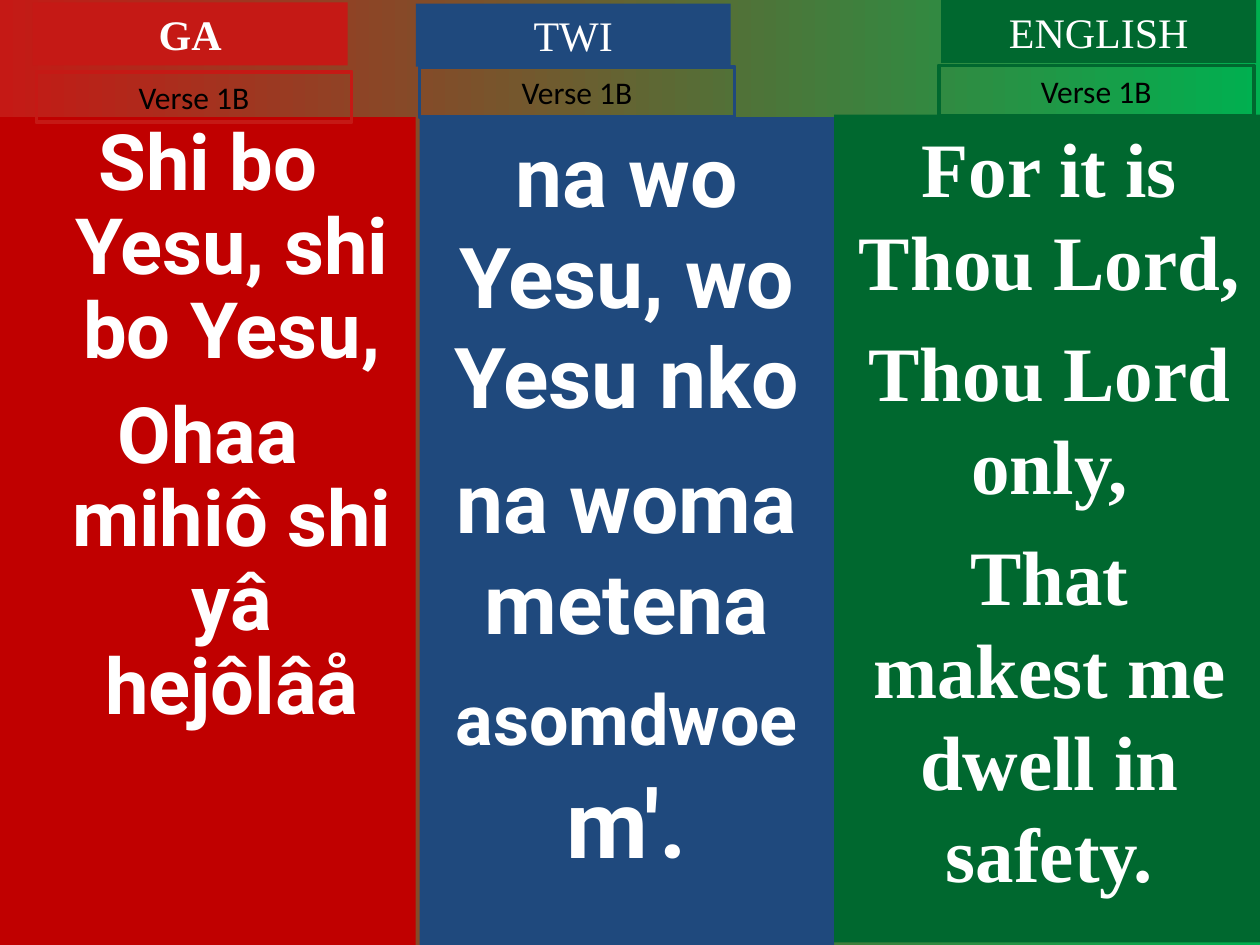
from pptx import Presentation
from pptx.dml.color import RGBColor
from pptx.enum.shapes import MSO_SHAPE
from pptx.enum.text import MSO_ANCHOR, MSO_AUTO_SIZE, PP_ALIGN
from pptx.util import Inches, Pt

RED, BRIGHT_RED, BLUE = "C00000", "C51915", "1F497D"
GREEN, BRIGHT_GREEN = "00682F", "00B050"
WHITE, BLACK = "FFFFFF", "000000"
SERIF, SANS, LABEL = "Times New Roman", "Roboto", "Calibri"


def color(hex_text):
    return RGBColor.from_string(hex_text)


def set_background(page):
    fill = page.background.fill
    fill.gradient()
    fill.gradient_angle = 0
    for stop, shade, position in zip(fill.gradient_stops, (BRIGHT_RED, BRIGHT_GREEN), (0, 1)):
        stop.color.rgb = color(shade)
        stop.position = position


def add_box(page, place, fill=None, line=None):
    box = page.shapes.add_shape(MSO_SHAPE.RECTANGLE, *[Inches(value) for value in place])
    box.shadow.inherit = False
    if fill:
        box.fill.solid()
        box.fill.fore_color.rgb = color(fill)
    else:
        box.fill.background()
    if line:
        box.line.color.rgb = color(line)
        box.line.width = Pt(2.25)
    else:
        box.line.fill.background()
    box.text_frame.word_wrap = True
    box.text_frame.vertical_anchor = MSO_ANCHOR.TOP
    return box


def add_span(para, text, font, size, shade, bold=False):
    span = para.add_run()
    span.text = text
    span.font.name = font
    span.font.size = Pt(size)
    span.font.bold = bold
    span.font.color.rgb = color(shade)


def add_heading(page, place, text, font, size, shade, bold=False, **look):
    """Add a one-line box that grows with its text."""
    box = add_box(page, place, **look)
    box.text_frame.auto_size = MSO_AUTO_SIZE.SHAPE_TO_FIT_TEXT
    para = box.text_frame.paragraphs[0]
    para.alignment = PP_ALIGN.CENTER
    add_span(para, text, font, size, shade, bold)


def add_verse(page, place, fill, font, paragraphs, gap, spacing=None, hanging=0):
    """Add a column of lyrics; each paragraph is a list of (text, size)."""
    frame = add_box(page, place, fill=fill).text_frame
    for index, spans in enumerate(paragraphs):
        para = frame.add_paragraph() if index else frame.paragraphs[0]
        para.alignment = PP_ALIGN.CENTER
        if index:
            para.space_before = Pt(gap)
        if spacing:
            para.line_spacing = spacing
        if hanging:
            properties = para._p.get_or_add_pPr()
            properties.set("marL", str(Inches(hanging)))
            properties.set("indent", str(-Inches(hanging)))
        for text, size in spans:
            add_span(para, text, font, size, WHITE, bold=True)


def main():
    deck = Presentation()
    deck.slide_width, deck.slide_height = Inches(10), Inches(7.5)
    page = deck.slides.add_slide(deck.slide_layouts[6])
    set_background(page)

    add_verse(page, (0, 0.93, 3.3, 6.57), RED, SANS,
              [[("Shi bo Yesu, shi bo Yesu,", 44.4)],
               [("Ohaa mihiô shi yâ hejôlâå", 44.4)]],
              gap=12, spacing=0.9, hanging=0.38)
    add_verse(page, (3.33, 0.93, 3.29, 6.57), BLUE, SANS,
              [[("na wo Yesu, wo Yesu nko", 48)],
               [("na woma metena ", 48), ("asomdwoe", 40), (" m'.", 54)]],
              gap=13.5)
    add_verse(page, (6.62, 0.91, 3.42, 6.57), GREEN, SERIF,
              [[("For it is Thou Lord,", 44)],
               [("Thou Lord only,", 44)],
               [("That makest me dwell in safety.", 44)]],
              gap=11)

    languages = [
        ("GA", BRIGHT_RED, True, (0.26, 0.02), (0.29, 0.57)),
        ("TWI", BLUE, False, (3.3, 0.03), (3.33, 0.53)),
        ("ENGLISH", GREEN, False, (7.47, 0), (7.45, 0.52)),
    ]
    for name, shade, bold, name_corner, label_corner in languages:
        add_heading(page, (*name_corner, 2.5, 0.5), name, SERIF, 24, WHITE, bold, fill=shade)
        add_heading(page, (*label_corner, 2.5, 0.4), "Verse 1B", LABEL, 18, BLACK, line=shade)

    deck.save("out.pptx")


if __name__ == "__main__":
    main()
